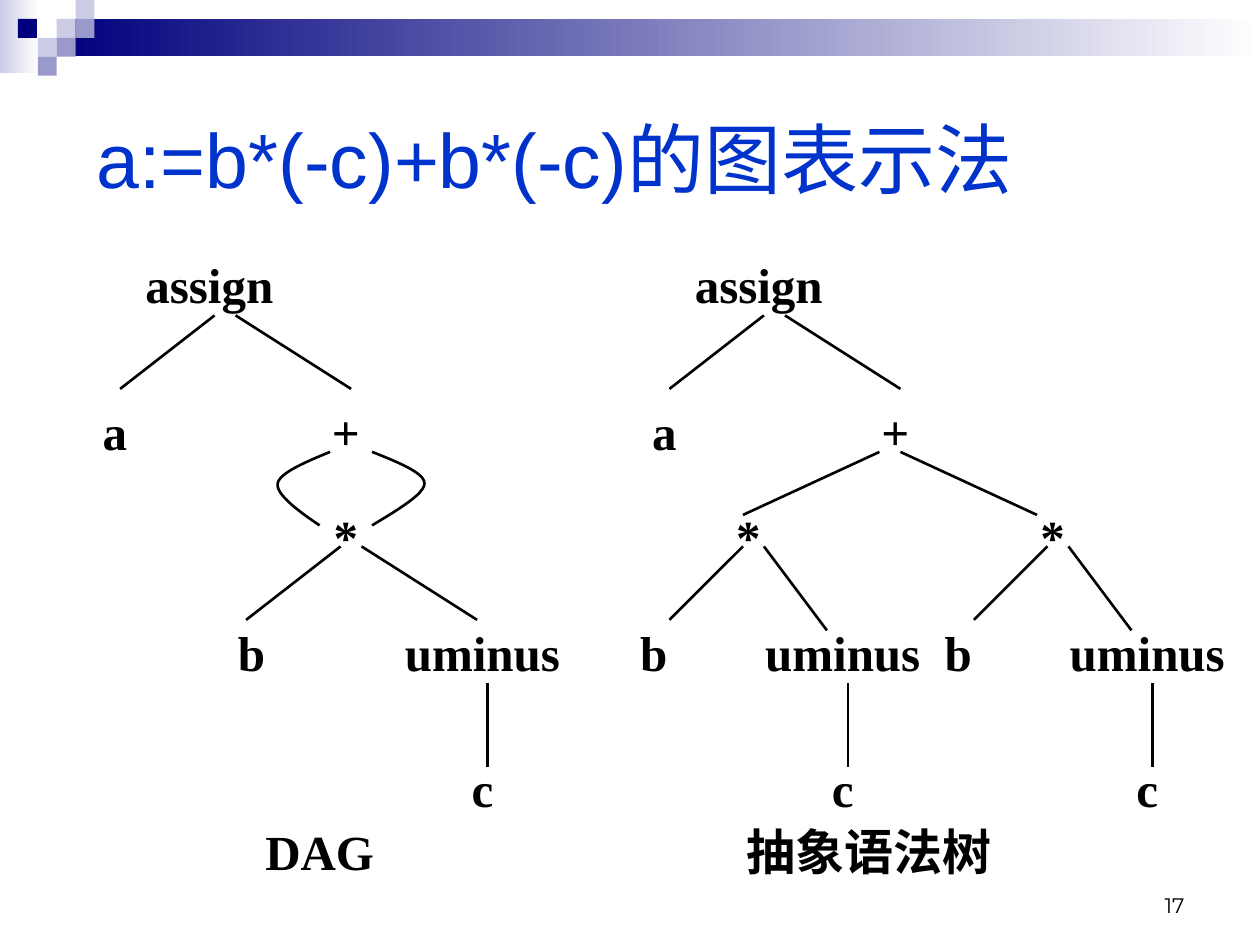
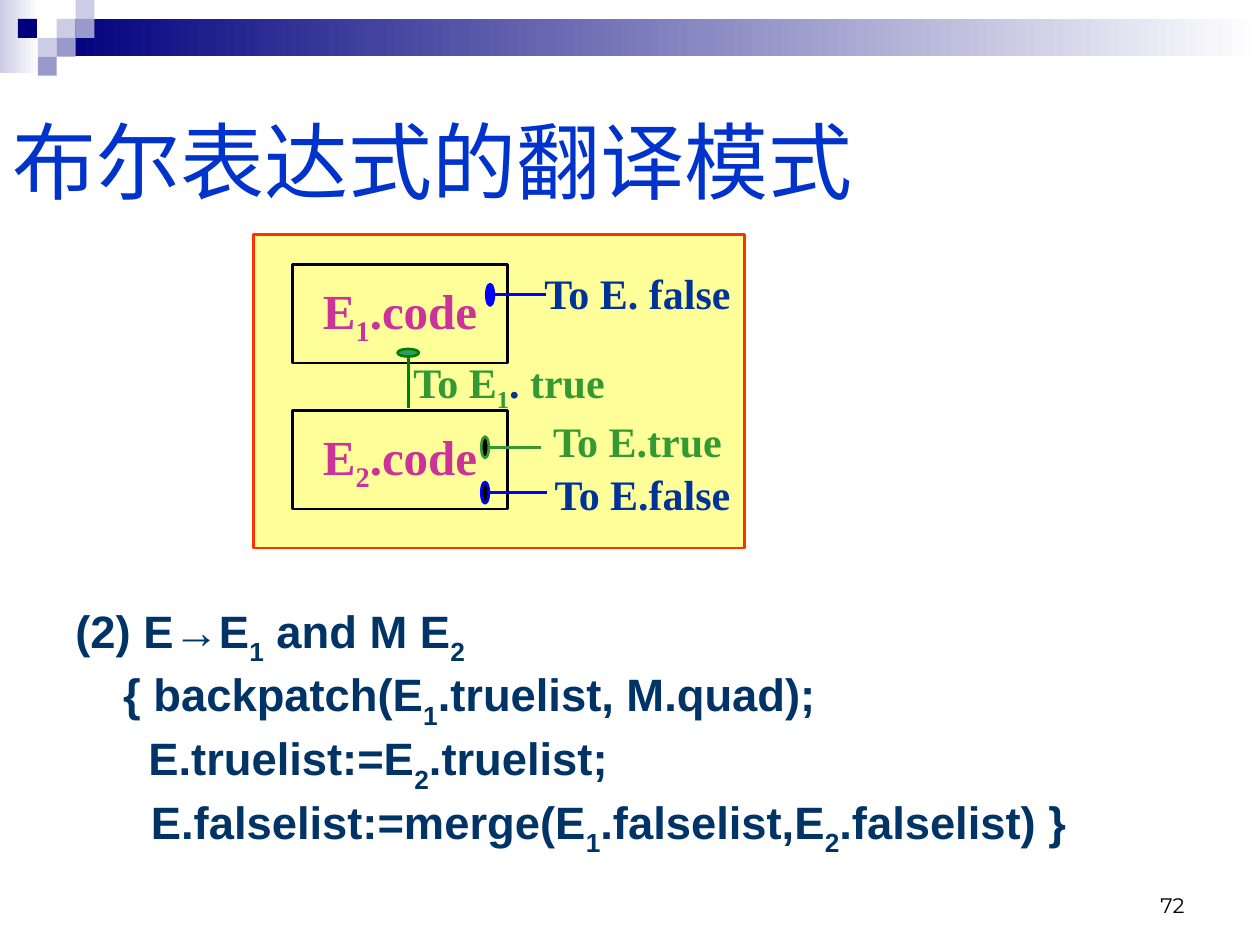
from dataclasses import dataclass

from pptx import Presentation
from pptx.dml.color import RGBColor
from pptx.enum.shapes import MSO_CONNECTOR, MSO_SHAPE
from pptx.enum.text import MSO_ANCHOR as ANCHOR, PP_ALIGN as ALIGN
from pptx.oxml.ns import qn
from pptx.util import Inches, Pt

BLACK, WHITE = "000000", "FFFFFF"
NAVY, LILAC, VIOLET = "00007D", "CCCCE6", "9999CC"
TITLE, BODY, CODE = "0033CC", "003366", "CC3399"
FALSE_TEXT, FALSE_LINE = "003399", "0000FF"
TRUE_TEXT, TRUE_LINE = "339933", "008000"
SANS, SERIF, NUMBER = "Arial", "Times New Roman", "Montserrat"


@dataclass
class Grid:
    left: float
    top: float
    cell: float

    def point(self, col, row):
        return Inches(self.left + col * self.cell), Inches(self.top + row * self.cell)

    def box(self, col, row, cols, rows):
        return *self.point(col, row), Inches(cols * self.cell), Inches(rows * self.cell)


PAGE = Grid(0, 0, 0.5)


def rgb(value):
    return RGBColor.from_string(value)


def add_runs(p, text, size=28, font=SERIF, color=BLACK, bold=True, drop=25):
    first, *rest = text.split("_")
    pieces = [(first, False)]
    for part in rest:
        pieces += [(part[0], True), (part[1:], False)]
    for piece, lowered in pieces:
        if not piece:
            continue
        r = p.add_run()
        r.text = piece
        r.font.size, r.font.name, r.font.bold = Pt(size), font, bold
        r.font.color.rgb = rgb(color)
        if lowered:
            r._r.get_or_add_rPr().set("baseline", str(-drop * 1000))


def write(sp, text, align=ALIGN.CENTER, anchor=ANCHOR.MIDDLE, wrap=False, **fmt):
    tf = sp.text_frame
    tf.word_wrap, tf.vertical_anchor = wrap, anchor
    p = tf.paragraphs[0]
    p.alignment = align
    add_runs(p, text, **fmt)
    return p


def add_text(s, box, text, **fmt):
    return write(s.shapes.add_textbox(*box), text, **fmt)


def add_shape(s, box, kind=MSO_SHAPE.RECTANGLE, fill=None, line=None):
    sp = s.shapes.add_shape(kind, *box)
    sp.shadow.inherit = False
    if isinstance(fill, tuple):
        sp.fill.gradient()
        sp.fill.gradient_angle = 0
        for stop, color in zip(sp.fill.gradient_stops, fill):
            stop.color.rgb, stop.position = rgb(color), fill.index(color)
    elif fill:
        sp.fill.solid()
        sp.fill.fore_color.rgb = rgb(fill)
    else:
        sp.fill.background()
    if line:
        sp.line.color.rgb, sp.line.width = rgb(line), Pt(1.5)
    else:
        sp.line.fill.background()
    return sp


def add_line(s, start, end, color=BLACK):
    line = s.shapes.add_connector(MSO_CONNECTOR.STRAIGHT, *start, *end)
    line.line.color.rgb, line.line.width = rgb(color), Pt(1.5)
    props = line._element.spPr
    props.append(props.makeelement(qn("a:effectLst"), {}))


def add_curve(s, grid, knots, steps=12):
    points = [grid.point(*knots[0])]
    for i in range(0, len(knots) - 1, 3):
        segment = knots[i:i + 4]
        for step in range(1, steps + 1):
            t = step / steps
            weights = (1 - t) ** 3, 3 * t * (1 - t) ** 2, 3 * t * t * (1 - t), t ** 3
            points.append(grid.point(*(sum(w * k[axis] for w, k in zip(weights, segment))
                                       for axis in (0, 1))))
    builder = s.shapes.build_freeform(*points[0])
    builder.add_line_segments(points[1:], close=False)
    sp = builder.convert_to_shape()
    sp.shadow.inherit = False
    sp.fill.background()
    sp.line.color.rgb, sp.line.width = rgb(BLACK), Pt(1.5)


def draw_header(s):
    grid = Grid(0, 0, 0.15)
    add_shape(s, grid.box(0, 0, 2.07, 3.87), fill=(LILAC, WHITE))
    add_shape(s, grid.box(3, 1, 63.67, 1.96), fill=(NAVY, WHITE))
    squares = [(3, 1, LILAC), (4, 0, LILAC), (4, 1, VIOLET), (2, 2, LILAC),
               (0.95, 1, NAVY), (3, 2, VIOLET), (2, 3, VIOLET)]
    for col, row, color in squares:
        add_shape(s, grid.box(col, row, 1, 1), fill=color)


def new_slide(prs, number):
    s = prs.slides.add_slide(prs.slide_layouts[6])
    draw_header(s)
    add_text(s, PAGE.box(14.33, 13.67, 4.67, 1), number, align=ALIGN.RIGHT,
             anchor=ANCHOR.BOTTOM, wrap=True, size=12, font=NUMBER, bold=False)
    return s


def draw_title(s, box, text, size):
    return add_text(s, box, text, align=ALIGN.LEFT, wrap=True, size=size,
                    font=SANS, color=TITLE, bold=False)


def draw_node(s, grid, col, row, text, cols=21):
    add_text(s, grid.box(col - 4, row, cols, 8), text)


def draw_edges(s, grid, *edges):
    for x1, y1, x2, y2 in edges:
        add_line(s, grid.point(x1, y1), grid.point(x2, y2))


def draw_root(s, grid, caption):
    for col, row, text in [(9, 0, "assign"), (0, 14, "a"), (22, 14, "+")]:
        draw_node(s, grid, col, row, text)
    draw_edges(s, grid, (16, 7, 7, 14), (18, 7, 29, 14))
    draw_node(s, grid, 16, 54, caption, cols=28)


def draw_product(s, grid, col, left_end, right_end, minus):
    for dx, row, text in [(0, 24, "*"), (-9, 35, "b"), (minus, 35, "uminus"), (minus, 48, "c")]:
        draw_node(s, grid, col + dx, row, text)
    stem = col + minus + 7
    draw_edges(s, grid, (col + 6, 29, col + left_end, 36),
               (col + 8, 29, col + right_end[0], right_end[1]), (stem, 42, stem, 50))


def draw_dag(s, grid):
    draw_root(s, grid, "DAG")
    draw_product(s, grid, 22, -3, (19, 36), 13)
    add_curve(s, grid, [(27, 20), (24.6, 21), (22.2, 22), (22, 23),
                        (21.8, 24), (23.9, 25.6), (26, 27)])
    add_curve(s, grid, [(31, 20), (33.5, 21), (36, 22), (36, 23),
                        (36, 24), (33.5, 25.5), (31, 27)])


def draw_syntax_tree(s, grid):
    draw_root(s, grid, "抽象语法树")
    draw_edges(s, grid, (27, 20, 14, 26), (29, 20, 42, 26))
    for col in (8, 37):
        draw_product(s, grid, col, -1, (14, 37), 9)


def draw_code_panel(s, grid):
    add_shape(s, grid.box(0, 0, 39, 24.9), fill="FFFF99", line="FF3300")
    for row, text in [(2.4, "E_1.code"), (14, "E_2.code")]:
        write(add_shape(s, grid.box(3.1, row, 17.1, 7.8), line=BLACK), text, color=CODE)

    exits = [(18.5, 4.8, 23.2, FALSE_LINE, FALSE_LINE),
             (18.1, 16.9, 22.8, BLACK, TRUE_TEXT),
             (18.1, 20.5, 23.3, BLACK, FALSE_LINE)]
    for col, row, end, fill, line in exits:
        add_line(s, grid.point(col + 0.6, row), grid.point(end, row), line)
        add_shape(s, grid.box(col, row - 0.85, 0.6, 1.7), MSO_SHAPE.OVAL, fill, line)
    add_line(s, grid.point(12.3, 9.7), grid.point(12.3, 13.8), TRUE_LINE)
    add_shape(s, grid.box(11.45, 9.1, 1.7, 0.6), MSO_SHAPE.OVAL, "339966", TRUE_LINE)

    labels = [(20.5, 1.6, "To E. false", FALSE_TEXT), (20.5, 13.3, "To E.true", TRUE_TEXT),
              (20.9, 17.5, "To E.false", FALSE_TEXT)]
    for col, row, text, color in labels:
        add_text(s, grid.box(col, row, 20, 6.1), text, size=24, color=color)
    p = add_text(s, grid.box(10.3, 8.9, 20, 6.1), "To E_1", size=24, color=TRUE_TEXT)
    add_runs(p, ". ", size=24, color=FALSE_TEXT)
    add_runs(p, "true", size=24, color=TRUE_TEXT)


def draw_rule(s, box):
    lines = [(0, "(2) E→E_1 and M E_2"),
             (0.38, "{ backpatch(E_1.truelist, M.quad);"),
             (0.58, "E.truelist:=E_2.truelist;"),
             (0.6, "E.falselist:=merge(E_1.falselist,E_2.falselist) }")]
    tf = s.shapes.add_textbox(*box).text_frame
    tf.word_wrap = True
    for i, (indent, text) in enumerate(lines):
        p = tf.add_paragraph() if i else tf.paragraphs[0]
        p.line_spacing = 0.8
        if i:
            p.space_before = Pt(7)
        p._p.get_or_add_pPr().set("marL", str(Inches(indent)))
        add_runs(p, text, size=25.9, font=SANS, color=BODY, drop=30)


def graph_slide(prs):
    s = new_slide(prs, "17")
    draw_title(s, PAGE.box(1.34, 1, 17.66, 3), "a:=b*(-c)+b*(-c)的图表示法", 44)
    draw_dag(s, Grid(0.37, 1.92, 1 / 12))
    draw_syntax_tree(s, Grid(4.73, 1.92, 1 / 12))


def translation_slide(prs):
    s = new_slide(prs, "72")
    draw_code_panel(s, Grid(2.01, 1.86, 0.1))
    draw_title(s, PAGE.box(0, 1.04, 15.82, 3), "布尔表达式的翻译模式", 48)
    draw_rule(s, PAGE.box(1, 9.54, 18, 4.08))


def main():
    prs = Presentation()
    prs.slide_width, prs.slide_height = Inches(10), Inches(7.5)
    graph_slide(prs)
    translation_slide(prs)
    prs.save("out.pptx")


if __name__ == "__main__":
    main()
